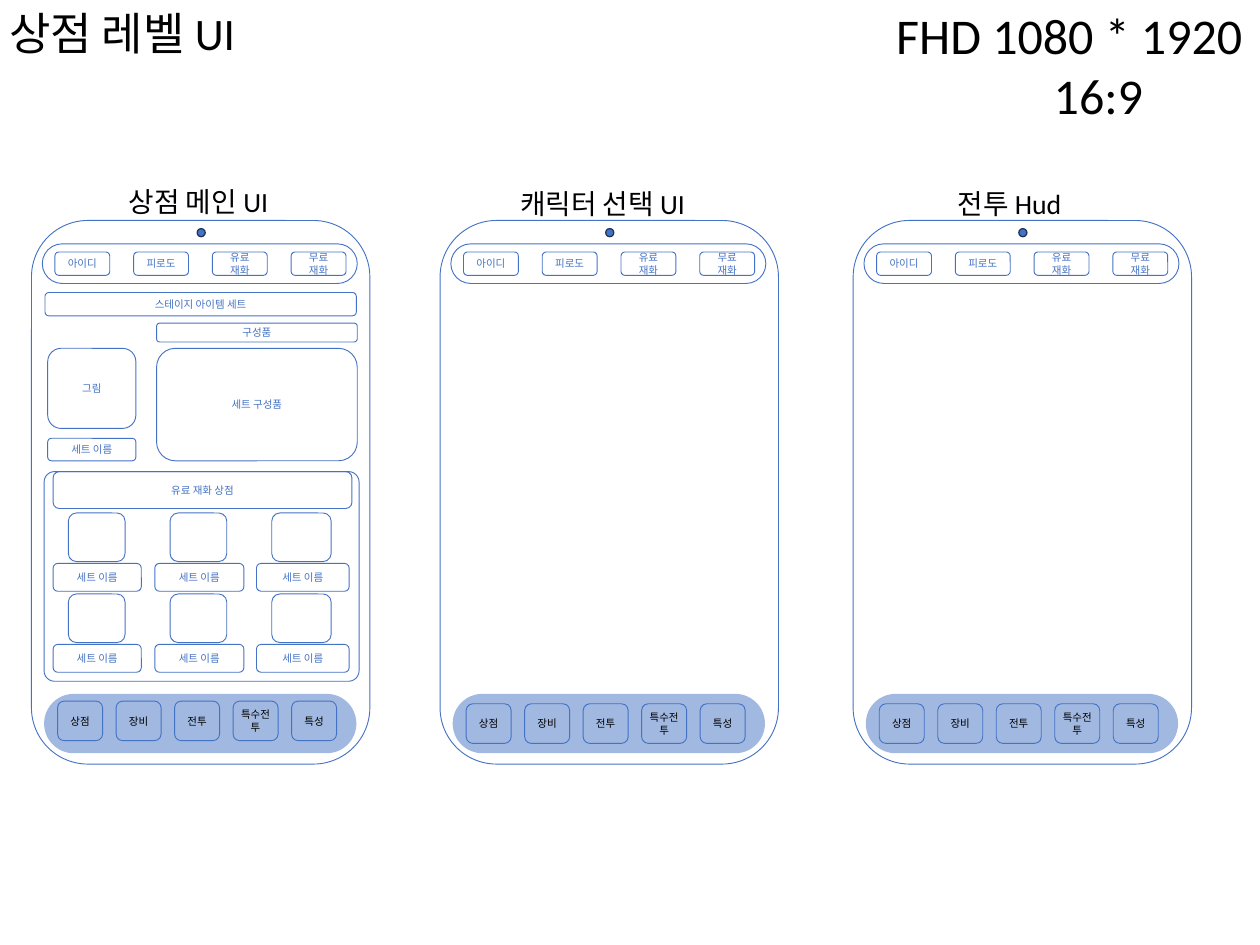
from dataclasses import dataclass

from lxml.etree import SubElement
from pptx import Presentation
from pptx.dml.color import RGBColor
from pptx.enum.shapes import MSO_SHAPE as Preset
from pptx.enum.text import MSO_ANCHOR as Anchor, MSO_AUTO_SIZE as AutoSize, PP_ALIGN as Align
from pptx.oxml.ns import qn
from pptx.util import Inches, Pt


@dataclass(frozen=True)
class Theme:
    font: str = "Calibri"
    blue: RGBColor = RGBColor(0x44, 0x72, 0xC4)
    navy: RGBColor = RGBColor(0x1E, 0x32, 0x56)
    black: RGBColor = RGBColor(0, 0, 0)
    label: float = 8.4
    caption: float = 22.2
    title: float = 36
    resolution: float = 40
    outline: float = 0.75


THEME = Theme()
PHONES = [
    ("상점 메인 UI", 0.35, 0.98, 2.0, 7.79),
    ("캐릭터 선택 UI", 4.89, 5.47, 2.03, 7.82),
    ("전투 Hud", 9.48, 9.99, 2.03, 7.82),
]
STATUS_ITEMS = ["아이디", "피로도", "유료\n재화", "무료\n재화"]
MENU_ITEMS = ["상점", "장비", "전투", "특수전투", "특성"]
SET_PANELS = [
    ("스테이지 아이템 세트", 0.5, 3.25, 3.46, 0.26),
    ("그림", 0.53, 3.87, 0.98, 0.89),
    ("구성품", 1.74, 3.59, 2.23, 0.21),
    ("세트 구성품", 1.74, 3.87, 2.23, 1.25),
    ("세트 이름", 0.53, 4.87, 0.98, 0.25),
]
GOODS_COLUMNS = [(0.98, 0.63), (0.99, 0.63), (1.03, 0.66)]


def style(paragraph, size, color=THEME.black, align=Align.CENTER):
    paragraph.alignment = align
    paragraph.font.name = THEME.font
    paragraph.font.size = Pt(size)
    paragraph.font.color.rgb = color


def add_preset(slide, preset, x, y, w, h):
    shape = slide.shapes.add_shape(preset, Inches(x), Inches(y), Inches(w), Inches(h))
    shape.shadow.inherit = False
    return shape


def add_frame(slide, x, y, w, h, text="", color=THEME.blue, rounding=None):
    frame = add_preset(slide, Preset.ROUNDED_RECTANGLE, x, y, w, h)
    frame.fill.background()
    frame.line.color.rgb = THEME.blue
    frame.line.width = Pt(THEME.outline)
    if rounding is not None:
        frame.adjustments[0] = rounding
    if text:
        body = frame.text_frame
        body.margin_left = body.margin_right = Inches(0.05)
        body.vertical_anchor = Anchor.MIDDLE
        body.paragraphs[0].text = text
        style(body.paragraphs[0], THEME.label, color)


def add_dock(slide, x):
    dock = add_preset(slide, Preset.ROUNDED_RECTANGLE, x, 7.71, 3.47, 0.66)
    dock.adjustments[0] = 0.5
    dock.fill.solid()
    dock.fill.fore_color.rgb = THEME.blue
    dock.line.fill.background()
    tint = dock.fill._xPr.find(qn("a:solidFill"))[0]
    SubElement(tint, qn("a:alpha"), val="50000")


def add_camera(slide, x):
    camera = add_preset(slide, Preset.OVAL, x, 2.54, 0.09, 0.09)
    camera.fill.solid()
    camera.fill.fore_color.rgb = THEME.blue
    camera.line.color.rgb = THEME.navy
    camera.line.width = Pt(1)


def add_phone(slide, x, menu_y):
    add_dock(slide, x + 0.14)
    add_frame(slide, x, 2.45, 3.76, 6.04)
    add_frame(slide, x + 0.12, 2.71, 3.5, 0.44, rounding=0.5)
    for i, item in enumerate(STATUS_ITEMS):
        add_frame(slide, x + 0.26 + i * 0.875, 2.8, 0.61, 0.26, item)
    add_camera(slide, x + 1.84)
    for i, item in enumerate(MENU_ITEMS):
        add_frame(slide, x + 0.29 + i * 0.65, menu_y, 0.5, 0.44, item, THEME.black)


def add_goods_shop(slide):
    add_frame(slide, 0.49, 5.24, 3.5, 2.33, rounding=0.05)
    for y in (5.7, 6.6):
        for i, (name_w, thumb_w) in enumerate(GOODS_COLUMNS):
            x = 0.59 + i * 1.13
            add_frame(slide, x + 0.17, y, thumb_w, 0.54)
            add_frame(slide, x, y + 0.56, name_w, 0.31, "세트 이름")
    add_frame(slide, 0.59, 5.24, 3.32, 0.41, "유료 재화 상점")


def add_text(slide, x, y, w, h):
    body = slide.shapes.add_textbox(Inches(x), Inches(y), Inches(w), Inches(h)).text_frame
    body.word_wrap = True
    return body


def add_caption(slide, text, x, y):
    caption = add_text(slide, x, y, 2.45, 0.48).paragraphs[0]
    caption.text = text
    style(caption, THEME.caption)


def set_title(slide, text):
    title = slide.shapes.title
    title.left, title.top = Inches(0), Inches(0.01)
    title.width, title.height = Inches(4.38), Inches(0.71)
    body = title.text_frame
    body.text = text
    body.auto_size = AutoSize.NONE
    body.vertical_anchor = Anchor.TOP
    style(body.paragraphs[0], THEME.title, align=Align.LEFT)


def add_resolution(slide):
    body = add_text(slide, 9.61, 0, 4.38, 1.45)
    lines = [(body.paragraphs[0], "FHD 1080 * 1920", 0.25), (body.add_paragraph(), "16:9", 2)]
    for line, text, indent in lines:
        line.text = text
        style(line, THEME.resolution, align=Align.LEFT)
        line._p.get_or_add_pPr().set("marL", str(Inches(indent)))


def main():
    deck = Presentation()
    deck.slide_width, deck.slide_height = Inches(14), Inches(10.5)
    slide = deck.slides.add_slide(deck.slide_layouts[5])
    set_title(slide, "상점 레벨 UI")
    add_resolution(slide)
    for caption, phone_x, caption_x, caption_y, menu_y in PHONES:
        add_phone(slide, phone_x, menu_y)
        add_caption(slide, caption, caption_x, caption_y)
    for text, x, y, w, h in SET_PANELS:
        add_frame(slide, x, y, w, h, text)
    add_goods_shop(slide)
    deck.save("out.pptx")


if __name__ == "__main__":
    main()
